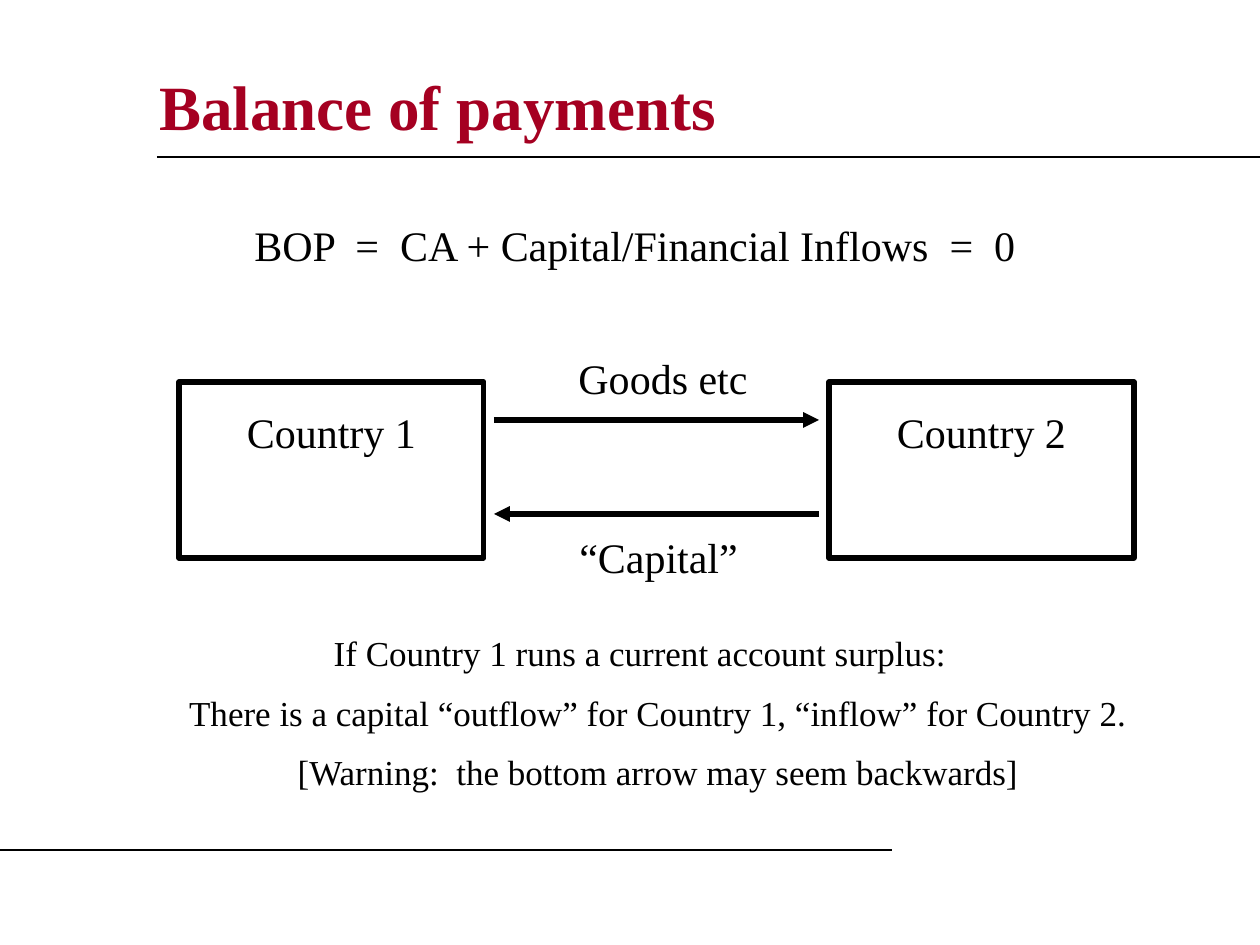
from dataclasses import dataclass

from lxml.etree import SubElement
from pptx import Presentation
from pptx.dml.color import RGBColor
from pptx.enum.shapes import MSO_CONNECTOR, MSO_SHAPE
from pptx.enum.text import MSO_ANCHOR, PP_ALIGN
from pptx.oxml.ns import qn
from pptx.util import Emu, Pt


@dataclass(frozen=True)
class Theme:
    font: str = "Times New Roman"
    ink: RGBColor = RGBColor(0, 0, 0)
    accent: RGBColor = RGBColor(0xA5, 0x00, 0x21)
    title: int = 36
    label: int = 24
    note: int = 20
    rule: float = 0.75
    heavy: float = 3


THEME = Theme()


def px(n):
    return Emu(n * 914400 // 126)


def apply(obj, values):
    for name, value in values.items():
        setattr(obj, name, value)


def write(sp, lines, size, color=THEME.ink, bold=False, frame=None, **para):
    tf = sp.text_frame
    apply(tf, {"word_wrap": True, "vertical_anchor": MSO_ANCHOR.TOP, **(frame or {})})
    for i, line in enumerate(lines):
        p = tf.paragraphs[0] if i == 0 else tf.add_paragraph()
        apply(p, para)
        if i == 0:
            p.space_before = Pt(0)
        r = p.add_run()
        r.text = line
        apply(r.font, {"name": THEME.font, "size": Pt(size), "bold": bold})
        r.font.color.rgb = color
    return tf


def add_text(s, box, lines, size, **fmt):
    return write(s.shapes.add_textbox(*map(px, box)), lines, size, **fmt)


def add_country(s, left, name):
    sp = s.shapes.add_shape(MSO_SHAPE.RECTANGLE, *map(px, (left, 382, 305, 176)))
    sp.shadow.inherit = False
    sp.fill.background()
    sp.line.color.rgb = THEME.ink
    sp.line.width = Pt(THEME.heavy)
    write(sp, [name], THEME.label, frame={"margin_top": px(25)},
          alignment=PP_ALIGN.CENTER)


def add_line(s, x1, x2, y, width, arrow=False):
    c = s.shapes.add_connector(MSO_CONNECTOR.STRAIGHT, px(x1), px(y), px(x2), px(y))
    c.line.color.rgb = THEME.ink
    c.line.width = Pt(width)
    if arrow:
        SubElement(c.line._get_or_add_ln(), qn("a:tailEnd"), type="triangle")
    SubElement(c._element.spPr, qn("a:effectLst"))


def main():
    prs = Presentation()
    apply(prs, {"slide_width": px(1260), "slide_height": px(945)})
    s = prs.slides.add_slide(prs.slide_layouts[6])

    add_text(s, (147, 42, 1113, 126), ["Balance of payments"], THEME.title,
             color=THEME.accent, bold=True,
             frame={"vertical_anchor": MSO_ANCHOR.MIDDLE})
    add_line(s, 157, 1260, 157, THEME.rule)
    add_line(s, 0, 892, 850, THEME.rule)

    add_country(s, 179, "Country 1")
    add_country(s, 829, "Country 2")
    add_line(s, 494, 819, 420, THEME.heavy, arrow=True)
    add_line(s, 819, 494, 514, THEME.heavy, arrow=True)
    add_text(s, (567, 525, 199, 63), ["“Capital”"], THEME.label)
    add_text(s, (566, 346, 210, 63), ["Goods etc"], THEME.label)

    centred = {"alignment": PP_ALIGN.CENTER, "line_spacing": 0.9}
    tf = add_text(s, (132, 630, 1016, 170), [
        "If Country 1 runs a current account surplus:",
        "There is a capital “outflow” for Country 1, “inflow” for Country 2.",
        "[Warning:  the bottom arrow may seem backwards]",
    ], THEME.note, space_before=Pt(12.5), **centred)
    for p in tf.paragraphs[1:]:
        p._p.get_or_add_pPr().set("marL", str(px(36)))
    add_text(s, (136, 219, 998, 74),
             ["BOP  =  CA + Capital/Financial Inflows  =  0"], THEME.label, **centred)

    prs.save("out.pptx")


if __name__ == "__main__":
    main()
